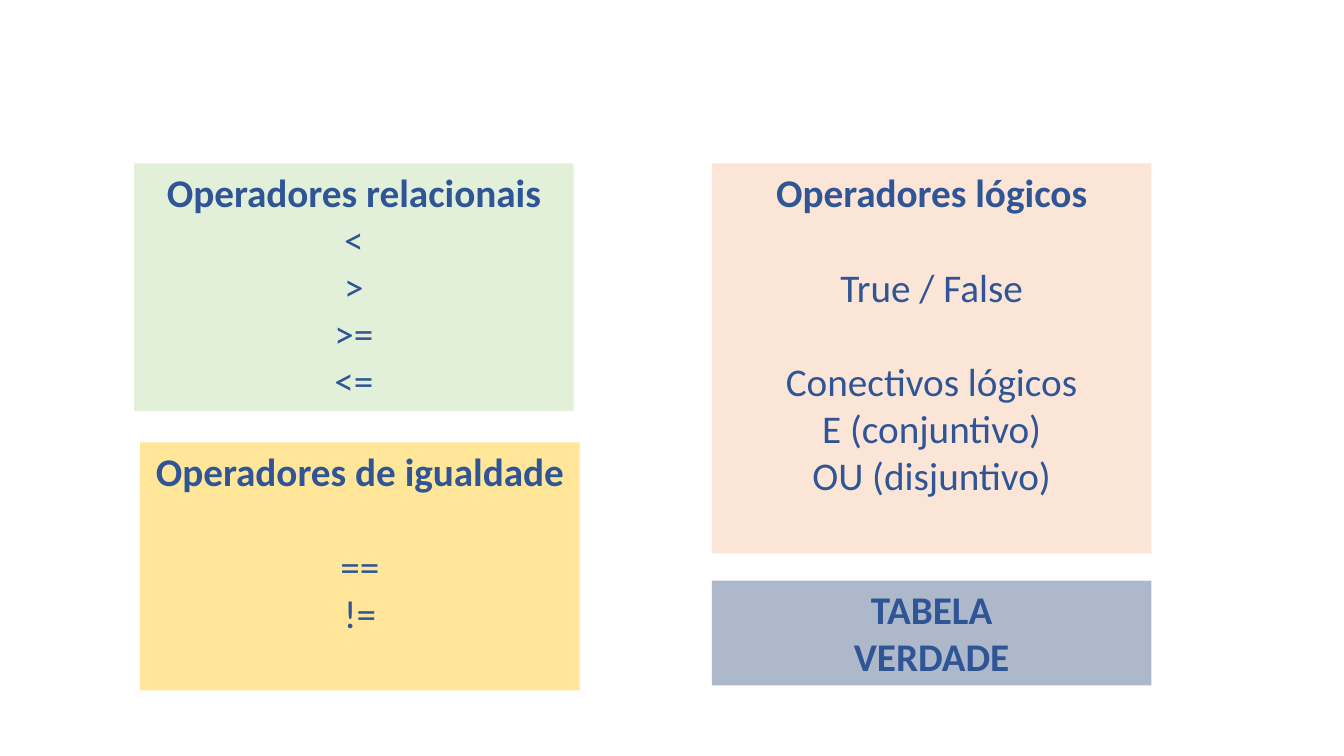
"""Build a slide that groups relational, equality and logical operators in coloured boxes."""
from pptx import Presentation
from pptx.dml.color import RGBColor
from pptx.enum.text import MSO_ANCHOR, PP_ALIGN
from pptx.util import Pt

PX = 9144
BLUE = RGBColor(0x2F, 0x55, 0x97)
GREEN = RGBColor(0xE2, 0xF0, 0xD9)
YELLOW = RGBColor(0xFF, 0xE6, 0x99)
PEACH = RGBColor(0xFB, 0xE5, 0xD6)
GREY = RGBColor(0xAD, 0xB9, 0xCA)

BOX_WIDTH = 436
BLANK_LINE = Pt(34)
FONT_FORMAT = {"name": "Calibri", "size": Pt(28)}
FRAME_FORMAT = {"word_wrap": True, "vertical_anchor": MSO_ANCHOR.TOP}

OPERATOR_BOXES = [
    (133, 162, 246, GREEN, ["Operadores relacionais"], ["<", ">", ">=", "<="], []),
    (139, 439, 246, YELLOW, ["Operadores de igualdade"], ["==", "!="], ["=="]),
    (706, 162, 387, PEACH, ["Operadores lógicos"],
     ["True / False", "Conectivos lógicos", "E (conjuntivo)", "OU (disjuntivo)"],
     ["True / False", "Conectivos lógicos"]),
    (706, 576, 104, GREY, ["TABELA", "VERDADE"], [], []),
]

presentation = Presentation()
presentation.slide_width = 1333 * PX
presentation.slide_height = 750 * PX
slide = presentation.slides.add_slide(presentation.slide_layouts[6])

for left, top, height, colour, headings, entries, spaced_entries in OPERATOR_BOXES:
    box = slide.shapes.add_textbox(left * PX, top * PX, BOX_WIDTH * PX, height * PX)
    box.fill.solid()
    box.fill.fore_color.rgb = colour
    frame = box.text_frame
    for name, value in FRAME_FORMAT.items():
        setattr(frame, name, value)

    lines = headings + entries
    frame.text = "\n".join(lines)
    for paragraph, line in zip(frame.paragraphs, lines):
        paragraph.alignment = PP_ALIGN.CENTER
        if line in spaced_entries:
            paragraph.space_before = BLANK_LINE
        font = paragraph.runs[0].font
        for name, value in FONT_FORMAT.items():
            setattr(font, name, value)
        font.bold = line in headings
        font.color.rgb = BLUE

presentation.save("out.pptx")
